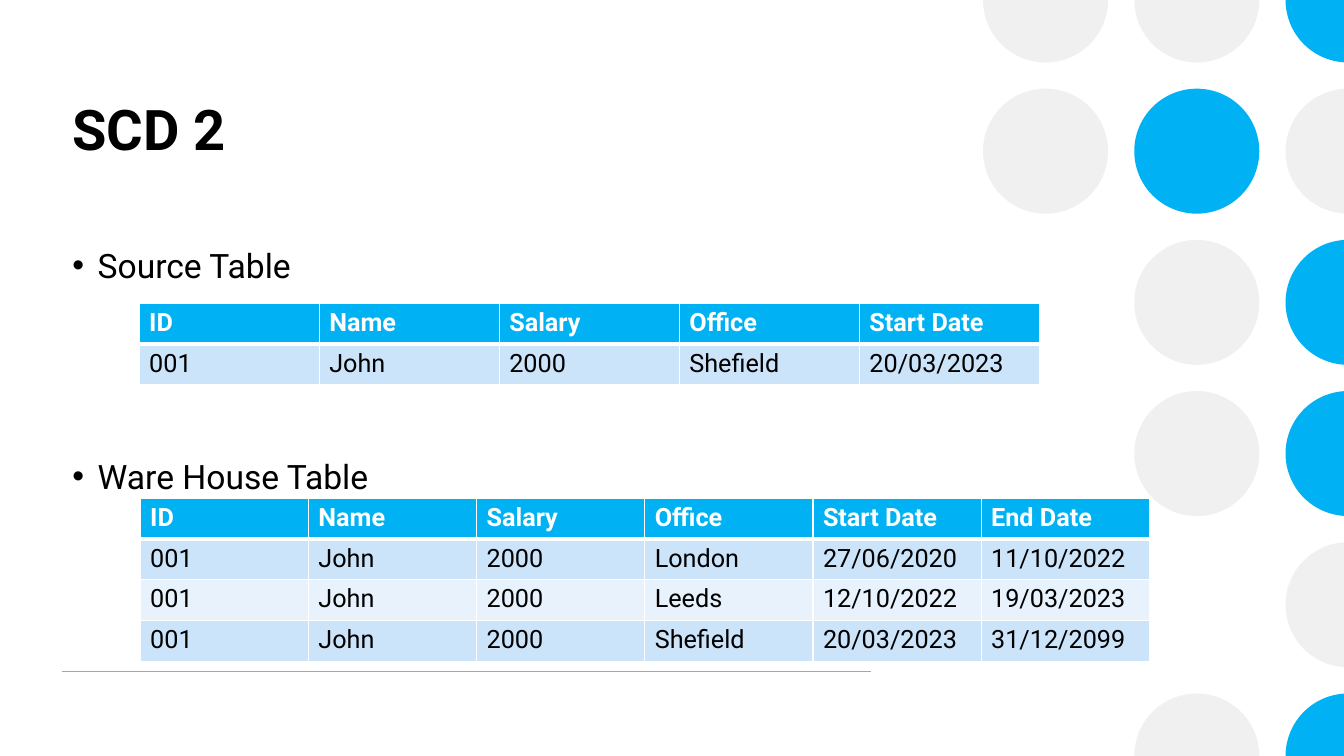
import math
from dataclasses import dataclass

from lxml import etree
from pptx import Presentation
from pptx.dml.color import RGBColor
from pptx.enum.shapes import MSO_CONNECTOR, MSO_SHAPE
from pptx.oxml.ns import qn
from pptx.util import Pt

PX = 9144  # EMU per px, 100 px to the inch
W, H = 1333, 750
FONT = "Roboto"
OVAL = MSO_SHAPE.OVAL
STRAIGHT = MSO_CONNECTOR.STRAIGHT
COLORS = {
    "blue": "00B2F3",
    "grey": "EFF0EF",
    "rule": "A6A6A6",
    "black": "000000",
    "white": "FFFFFF",
    "band1": "CCE4FA",
    "band2": "E7F2FD",
}

# Dot pattern: B blue, G grey, . empty
DOTS = ("GGB", "GBG", ".GB", ".GB", "..G", ".GB")
DOT_COLORS = {"B": "blue", "G": "grey"}
DOT_X, DOT_PITCH, RADIUS = 1037, 150, 62
DEGREE = 60000  # drawing units per degree


@dataclass
class TableSpec:
    x: int
    y: int
    w: int
    h: int
    rows: list[list[str]]


@dataclass
class TextSpec:
    x: int
    y: int
    w: int
    h: int
    lines: list[str]
    size: int
    inset_top: int
    bold: bool = False
    bullet: bool = False
    gap: int = 0


TEXTS = [
    TextSpec(62, 84, 802, 139, ["SCD 2"], 40, 10, bold=True),
    TextSpec(62, 236, 802, 394, ["Source Table", "Ware House Table"], 24, 7,
             bullet=True, gap=122),
]
HEADER = ["ID", "Name", "Salary", "Office", "Start Date"]
TABLES = [
    TableSpec(138, 301, 893, 81, [
        HEADER,
        ["001", "John", "2000", "Shefield", "20/03/2023"],
    ]),
    TableSpec(139, 494, 1001, 162, [
        HEADER + ["End Date"],
        ["001", "John", "2000", "London", "27/06/2020", "11/10/2022"],
        ["001", "John", "2000", "Leeds", "12/10/2022", "19/03/2023"],
        ["001", "John", "2000", "Shefield", "20/03/2023", "31/12/2099"],
    ]),
]


def rgb(name: str) -> RGBColor:
    return RGBColor.from_string(COLORS[name])


def add_text(p, text: str, *, size: int, color: str = "black", bold: bool = False) -> None:
    r = p.add_run()
    r.text = text
    r.font.name = FONT
    r.font.size = Pt(size)
    r.font.bold = bold
    r.font.color.rgb = rgb(color)


def add_path_point(path, tag: str, x: float, y: float) -> None:
    step = etree.SubElement(path, qn(tag))
    etree.SubElement(step, qn("a:pt"), x=str(round(x * PX)), y=str(round(y * PX)))


def add_trimmed_dot(s, cx: int, cy: int):
    """Draw the part of a dot that lies inside the slide, as one arc."""
    left, right = cx - RADIUS, min(cx + RADIUS, W)
    top, bottom = max(cy - RADIUS, 0), min(cy + RADIUS, H)
    builder = s.shapes.build_freeform(left, top, scale=PX)
    builder.add_line_segments([(right, top), (right, bottom), (left, bottom)])
    sp = builder.convert_to_shape()
    path = next(sp._element.iter(qn("a:path")))
    path.set("w", str((right - left) * PX))
    path.set("h", str((bottom - top) * PX))
    for step in list(path):
        path.remove(step)

    cut_right = cx + RADIUS > W
    cut = math.degrees(math.acos((W - cx) / RADIUS)) if cut_right else 0
    start = 180 if bottom == H else cut
    end = 180 if top == 0 else 360 - cut
    a = math.radians(start)
    add_path_point(path, "a:moveTo", cx + RADIUS * math.cos(a) - left,
                   cy + RADIUS * math.sin(a) - top)
    etree.SubElement(path, qn("a:arcTo"), wR=str(RADIUS * PX), hR=str(RADIUS * PX),
                     stAng=str(round(start * DEGREE)),
                     swAng=str(round((end - start) * DEGREE)))
    if cut_right and cy in (0, H):
        add_path_point(path, "a:lnTo", right - left, cy - top)
    etree.SubElement(path, qn("a:close"))
    return sp


def add_dot(s, cx: int, cy: int, color: str) -> None:
    if cx + RADIUS <= W and RADIUS <= cy <= H - RADIUS:
        sp = s.shapes.add_shape(OVAL, (cx - RADIUS) * PX, (cy - RADIUS) * PX,
                                2 * RADIUS * PX, 2 * RADIUS * PX)
    else:
        sp = add_trimmed_dot(s, cx, cy)
    sp.shadow.inherit = False
    sp.fill.solid()
    sp.fill.fore_color.rgb = rgb(color)
    sp.line.fill.background()


def add_rule(s, x1: int, x2: int, y: int) -> None:
    line = s.shapes.add_connector(STRAIGHT, x1 * PX, y * PX, x2 * PX, y * PX)
    line.line.color.rgb = rgb("rule")
    line.line.width = Pt(1)
    etree.SubElement(line._element.spPr, qn("a:effectLst"))


def add_textbox(s, t: TextSpec) -> None:
    tf = s.shapes.add_textbox(t.x * PX, t.y * PX, t.w * PX, t.h * PX).text_frame
    tf.word_wrap = True
    tf.margin_top = t.inset_top * PX
    for i, text in enumerate(t.lines):
        p = tf.add_paragraph() if i else tf.paragraphs[0]
        if i:
            p.space_before = Pt(t.gap)
        if t.bullet:
            pPr = p._p.get_or_add_pPr()
            pPr.set("marL", str(25 * PX))
            pPr.set("indent", str(-25 * PX))
            etree.SubElement(pPr, qn("a:buFont"), typeface="Arial")
            etree.SubElement(pPr, qn("a:buChar"), char="•")
        add_text(p, text, size=t.size, bold=t.bold)


def set_borders(cell, top: int, bottom: int) -> None:
    tcPr = cell._tc.get_or_add_tcPr()
    for side, width in (("L", 1), ("R", 1), ("T", top), ("B", bottom)):
        ln = etree.SubElement(tcPr, qn(f"a:ln{side}"), w=str(int(Pt(width))))
        fill = etree.SubElement(ln, qn("a:solidFill"))
        etree.SubElement(fill, qn("a:srgbClr"), val=COLORS["white"])


def add_table(s, t: TableSpec) -> None:
    n_rows, n_cols = len(t.rows), len(t.rows[0])
    table = s.shapes.add_table(n_rows, n_cols, t.x * PX, t.y * PX, t.w * PX, t.h * PX).table
    for i, row in enumerate(t.rows):
        header = i == 0
        fill = "blue" if header else "band1" if i % 2 else "band2"
        for j, text in enumerate(row):
            cell = table.cell(i, j)
            set_borders(cell, top=3 if i == 1 else 1, bottom=3 if header else 1)
            cell.fill.solid()
            cell.fill.fore_color.rgb = rgb(fill)
            add_text(cell.text_frame.paragraphs[0], text, size=18,
                     color="white" if header else "black", bold=header)


def main() -> None:
    prs = Presentation()
    prs.slide_width, prs.slide_height = W * PX, H * PX
    s = prs.slides.add_slide(prs.slide_layouts[6])

    # Background dots and footer rule
    for i, row in enumerate(DOTS):
        for j, mark in enumerate(row):
            if mark in DOT_COLORS:
                add_dot(s, DOT_X + j * DOT_PITCH, i * DOT_PITCH, DOT_COLORS[mark])
    add_rule(s, 62, 864, 666)

    # Title, bullets and tables
    for text in TEXTS:
        add_textbox(s, text)
    for table in TABLES:
        add_table(s, table)

    prs.save("out.pptx")


if __name__ == "__main__":
    main()
